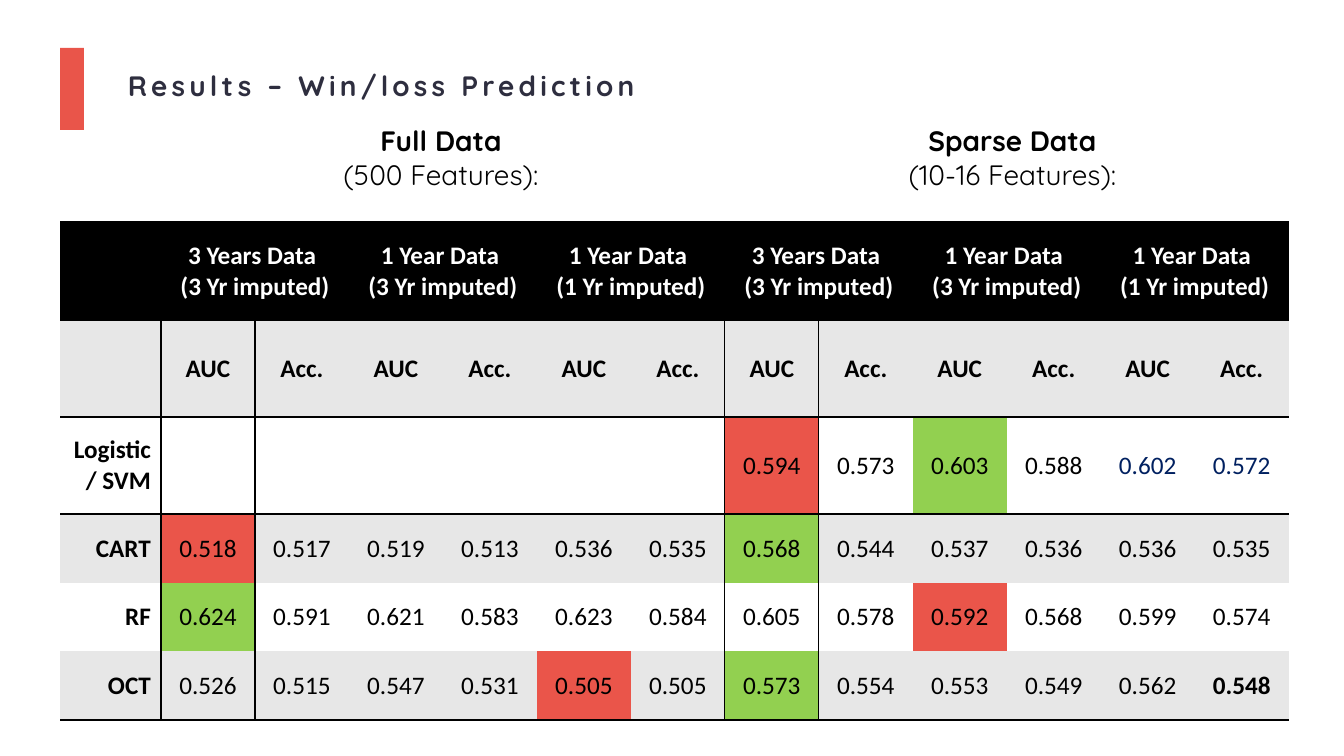
from lxml.etree import SubElement
from pptx import Presentation
from pptx.dml.color import RGBColor
from pptx.enum.shapes import MSO_SHAPE
from pptx.enum.text import MSO_ANCHOR, PP_ALIGN
from pptx.oxml.ns import qn
from pptx.util import Emu, Pt

BLACK, WHITE, GREY = "000000", "FFFFFF", "E7E7E7"
RED, GREEN, NAVY, INK = "EA554A", "92D050", "002060", "2E2E3F"

COLUMN_WIDTHS = [101] + [94] * 12
ROW_HEIGHTS = [98, 97, 97, 69, 68, 69]
ROW_FILLS = [BLACK, GREY, WHITE, GREY, WHITE, GREY]
PERIODS = [
    ("3 Years Data ", "(3 Yr imputed)"),
    ("1 Year Data ", "(3 Yr imputed)"),
    ("1 Year Data ", "(1 Yr imputed)"),
] * 2
RESULTS = [
    ["Logistic/ SVM"] + [""] * 6 + "0.594 0.573 0.603 0.588 0.602 0.572".split(),
    "CART 0.518 0.517 0.519 0.513 0.536 0.535 0.568 0.544 0.537 0.536 0.536 0.535".split(),
    "RF 0.624 0.591 0.621 0.583 0.623 0.584 0.605 0.578 0.592 0.568 0.599 0.574".split(),
    "OCT 0.526 0.515 0.547 0.531 0.505 0.505 0.573 0.554 0.553 0.549 0.562 0.548".split(),
]
# Keys are (row, column) in the table
HIGHLIGHTS = {
    (2, 7): RED, (3, 1): RED, (4, 9): RED, (5, 5): RED,
    (2, 9): GREEN, (3, 7): GREEN, (4, 1): GREEN, (5, 7): GREEN,
}
NAVY_CELLS = {(2, 11), (2, 12)}
BOLD_CELLS = {(5, 12)}
# Line widths in points, by the number of the grid line
ROW_LINES = {0: 2, 1: 2, 2: 1, 3: 1, 6: 2}
COLUMN_LINES = {1: 1, 2: 1, 7: 1, 8: 1}


def px(length):
    return Emu(round(length * 914400 / 100.8))


def color(value):
    return RGBColor.from_string(value)


def style(para, font, size, ink, bold, align):
    para.alignment = align
    para.font.name = font
    para.font.size = Pt(size)
    para.font.bold = bold
    para.font.color.rgb = color(ink)


def add_text(shapes, left, top, width, height, lines, ink=BLACK, align=PP_ALIGN.CENTER):
    """Add a text box whose first line is bold."""
    box = shapes.add_textbox(px(left), px(top), px(width), px(height))
    box.text_frame.word_wrap = True
    box.text_frame.text = "\n".join(lines)
    for index, para in enumerate(box.text_frame.paragraphs):
        style(para, "Quicksand", 20, ink, index == 0, align)
    return box


def add_title(page, text):
    group = page.shapes.add_group_shape()
    bar = group.shapes.add_shape(MSO_SHAPE.RECTANGLE, px(60), px(48), px(24), px(82))
    bar.shadow.inherit = False
    bar.fill.solid()
    bar.fill.fore_color.rgb = color("E9554A")
    bar.line.fill.background()
    box = add_text(group.shapes, 118, 64, 816, 44, [text], INK, PP_ALIGN.LEFT)
    span = box.text_frame.paragraphs[0].runs[0]
    span._r.get_or_add_rPr().set("spc", "300")


def set_borders(cell, row, column):
    """Draw the cell's sides that lie on a ruled grid line and hide the others."""
    upright = COLUMN_LINES if row else {}
    widths = {
        "a:lnL": upright.get(column),
        "a:lnR": upright.get(column + 1),
        "a:lnT": ROW_LINES.get(row),
        "a:lnB": ROW_LINES.get(row + 1),
    }
    properties = cell._tc.get_or_add_tcPr()
    for side, width in widths.items():
        line = SubElement(properties, qn(side))
        if width:
            line.set("w", str(Pt(width)))
            fill = SubElement(line, qn("a:solidFill"))
            SubElement(fill, qn("a:srgbClr")).set("val", BLACK)
        else:
            SubElement(line, qn("a:noFill"))


def fill_cell(cell, row, column, text):
    set_borders(cell, row, column)
    cell.fill.solid()
    cell.fill.fore_color.rgb = color(HIGHLIGHTS.get((row, column), ROW_FILLS[row]))
    cell.vertical_anchor = MSO_ANCHOR.MIDDLE
    cell.text = text
    place = (row, column)
    ink = WHITE if row == 0 else NAVY if place in NAVY_CELLS else BLACK
    bold = row < 2 or column == 0 or place in BOLD_CELLS
    align = PP_ALIGN.CENTER if column else PP_ALIGN.RIGHT
    for para in cell.text_frame.paragraphs:
        style(para, "Calibri", 18, ink, bold, align)


def add_results(page):
    period_row = [""]
    for lines in PERIODS:
        period_row += ["\n".join(lines), ""]
    rows = [period_row, [""] + ["AUC", "Acc."] * 6] + RESULTS
    frame = page.shapes.add_table(
        len(rows), len(COLUMN_WIDTHS), px(60), px(222),
        px(sum(COLUMN_WIDTHS)), px(sum(ROW_HEIGHTS)))
    table = frame.table
    table.first_row = table.horz_banding = False
    for column, width in zip(table.columns, COLUMN_WIDTHS):
        column.width = px(width)
    for row, height in zip(table.rows, ROW_HEIGHTS):
        row.height = px(height)
    for row, texts in enumerate(rows):
        for column, text in enumerate(texts):
            fill_cell(table.cell(row, column), row, column, text)
    for column in range(1, len(COLUMN_WIDTHS), 2):
        table.cell(0, column).merge(table.cell(0, column + 1))


def main():
    deck = Presentation()
    deck.slide_width, deck.slide_height = px(1344), px(756)
    page = deck.slides.add_slide(deck.slide_layouts[6])
    add_title(page, "Results – Win/loss Prediction")
    add_results(page)
    add_text(page.shapes, 331, 119, 220, 78, ["Full Data", "(500 Features):"])
    add_text(page.shapes, 890, 119, 245, 78, ["Sparse Data", "(10-16 Features):"])
    deck.save("out.pptx")


if __name__ == "__main__":
    main()
